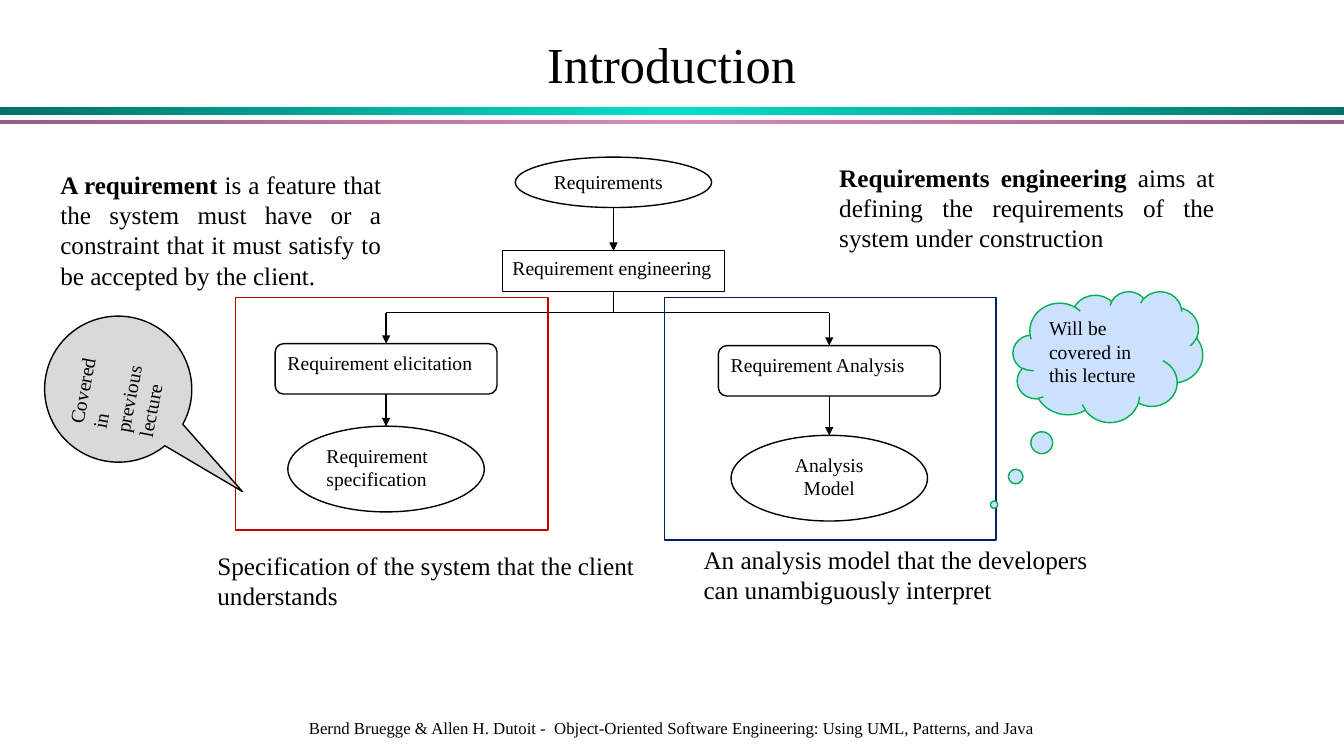
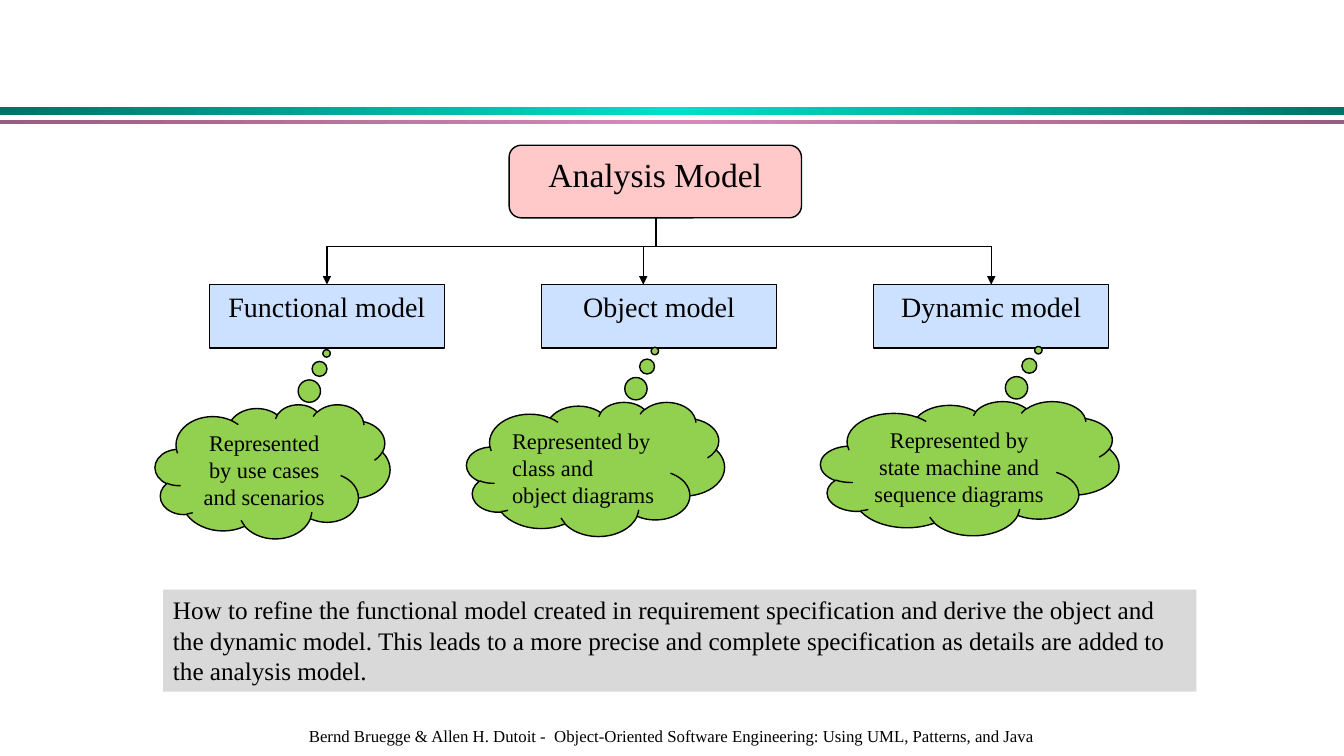
from copy import deepcopy

from lxml import etree
from pptx import Presentation
from pptx.dml.color import RGBColor
from pptx.enum.shapes import MSO_CONNECTOR, MSO_SHAPE
from pptx.enum.text import MSO_ANCHOR, PP_ALIGN
from pptx.oxml.ns import qn
from pptx.util import Cm, Pt

RECT, ROUNDED = MSO_SHAPE.RECTANGLE, MSO_SHAPE.ROUNDED_RECTANGLE
OVAL, CLOUD = MSO_SHAPE.OVAL, MSO_SHAPE.CLOUD_CALLOUT
BALLOON = MSO_SHAPE.OVAL_CALLOUT
LEFT, CENTER, JUSTIFY = PP_ALIGN.LEFT, PP_ALIGN.CENTER, PP_ALIGN.JUSTIFY
TOP, MIDDLE = MSO_ANCHOR.TOP, MSO_ANCHOR.MIDDLE

FONT = "Times New Roman"
BLACK, GREY, BLUE, PINK = "000000", "D9D9D9", "CCE0FF", "FFC9C9"
GREEN, LIME, RED, NAVY = "00B050", "92D050", "C00000", "002060"
color = RGBColor.from_string
FOOTER = ("Bernd Bruegge & Allen H. Dutoit -  Object-Oriented Software "
          "Engineering: Using UML, Patterns, and Java")


def add_box(slide, kind, place, text="", size=14, align=LEFT, fill=None,
            line=BLACK, lead="", tail=None, anchor=TOP, wrap=True):
    """Add a shape, or a text box when kind is None; place is in cm."""
    place = [Cm(length) for length in place]
    if kind is None:
        box = slide.shapes.add_textbox(*place)
    else:
        box = slide.shapes.add_shape(kind, *place)
        box.shadow.inherit = False
        if fill:
            box.fill.solid()
            box.fill.fore_color.rgb = color(fill)
        else:
            box.fill.background()
        if line:
            box.line.color.rgb = color(line)
            box.line.width = Pt(1)
        else:
            box.line.fill.background()
        for index, value in enumerate(tail or ()):
            box.adjustments[index] = value
    frame = box.text_frame
    frame.word_wrap = wrap
    frame.vertical_anchor = anchor
    if text:
        frame.text = text
    for paragraph in frame.paragraphs:
        paragraph.alignment = align
        paragraph.font.name = FONT
        paragraph.font.size = Pt(size)
        paragraph.font.color.rgb = color(BLACK)
    if lead:
        opening = frame.paragraphs[0].runs[0]
        rest = opening.text
        opening.text = lead
        opening.font.bold = True
        frame.paragraphs[0].add_run().text = rest
    return box


def add_line(slide, x1, y1, x2, y2, arrow=False):
    """Draw a straight black line, in cm, with an optional arrowhead."""
    link = slide.shapes.add_connector(
        MSO_CONNECTOR.STRAIGHT, Cm(x1), Cm(y1), Cm(x2), Cm(y2))
    link.line.color.rgb = color(BLACK)
    link.line.width = Pt(1)
    properties = link.element.spPr
    if arrow:
        outline = properties.find(qn("a:ln"))
        etree.SubElement(outline, qn("a:tailEnd"), type="triangle")
    etree.SubElement(properties, qn("a:effectLst"))


deck = Presentation()
deck.slide_width, deck.slide_height = Cm(33.87), Cm(19.05)
intro = deck.slides.add_slide(deck.slide_layouts[5])
models = deck.slides.add_slide(deck.slide_layouts[6])

# Gradient bands, moved to the master so that every slide shows them
for top, height, edge, middle in ((2.69, 0.2, "007267", "00DFCA"),
                                  (3.02, 0.1, "965E7F", "D989B8")):
    band = add_box(intro, RECT, (0, top, 33.87, height), line=None)
    band.fill.gradient()
    band.fill.gradient_angle = 0
    stop_list = band.element.spPr.find(".//" + qn("a:gsLst"))
    stop_list.append(deepcopy(stop_list[-1]))
    for stop, position, shade in zip(band.fill.gradient_stops, (0, 0.5, 1),
                                     (edge, middle, edge)):
        stop.position = position
        stop.color.rgb = color(shade)
    deck.slide_master.shapes.element.append(band.element)

# Footers
for slide, top, height in ((intro, 17.7, 1.27), (models, 18.11, 0.86)):
    add_box(slide, None, (3, top, 27.86, height), FOOTER, 12, CENTER,
            anchor=MIDDLE, wrap=False)

# Introduction: title
title = intro.shapes.title
title.left, title.top, title.width, title.height = (
    Cm(0.56), Cm(0.84), Cm(32.74), Cm(1.7))
title.text_frame.text = "Introduction"
title.text_frame.vertical_anchor = MIDDLE
heading = title.text_frame.paragraphs[0]
heading.alignment = CENTER
heading.line_spacing = 0.9
heading.font.name = FONT
heading.font.size = Pt(36)
heading.font.color.rgb = color(BLACK)

# Introduction: process steps, centred on three vertical axes
TRUNK, ELICITATION, ANALYSIS = 15.46, 9.73, 20.9
for kind, axis, top, width, height, text, align in (
        (OVAL, TRUNK, 3.96, 4.95, 1.27, "Requirements", LEFT),
        (RECT, TRUNK, 6.32, 5.59, 1.02, "Requirement engineering", LEFT),
        (ROUNDED, ELICITATION, 8.66, 5.59, 1.27, "Requirement elicitation", LEFT),
        (ROUNDED, ANALYSIS, 8.71, 5.59, 1.27, "Requirement Analysis", LEFT),
        (OVAL, ANALYSIS, 10.97, 4.95, 2.16, "Analysis Model", CENTER),
        (OVAL, ELICITATION, 10.74, 4.95, 2.16, "Requirement specification", LEFT)):
    add_box(intro, kind, (axis - width / 2, top, width, height), text,
            align=align)

# Introduction: links between the steps
FORK = 7.88
add_line(intro, TRUNK, 7.34, TRUNK, FORK)
add_line(intro, ELICITATION, FORK, ANALYSIS, FORK)
for axis, start, end in ((TRUNK, 5.23, 6.32),
                         (ELICITATION, FORK, 8.66), (ELICITATION, 9.93, 10.74),
                         (ANALYSIS, FORK, 8.71), (ANALYSIS, 9.98, 10.97)):
    add_line(intro, axis, start, axis, end, arrow=True)

# Introduction: definitions and results
for place, lead, text, align in (
        ((5.23, 13.74, 11.15, 1.8), "",
         "Specification of the system that the client\nunderstands", LEFT),
        ((17.48, 13.59, 11.15, 1.8), "",
         "An analysis model that the developers can unambiguously interpret",
         LEFT),
        ((20.9, 3.96, 9.96, 2.57), "Requirements engineering ",
         "aims at defining the requirements of the system under construction",
         JUSTIFY),
        ((1.27, 4.14, 8.59, 3.33), "A requirement ",
         "is a feature that the system must have or a constraint that it must "
         "satisfy to be accepted by the client.", JUSTIFY)):
    add_box(intro, None, place, text, 18, align, lead=lead)

# Introduction: frames around the two branches and their callouts
add_box(intro, RECT, (5.94, 7.49, 7.87, 5.87), line=RED)
add_box(intro, RECT, (16.75, 7.49, 8.35, 6.12), line=NAVY)
previous = add_box(intro, BALLOON, (1.14, 7.95, 3.68, 3.71),
                   "Covered in previous lecture", fill=GREY,
                   tail=(-0.53, 0.96))
previous.rotation = 280.8
add_box(intro, CLOUD, (25.53, 7.34, 4.78, 3.3),
        "Will be covered in this lecture", fill=BLUE, line=GREEN,
        tail=(-0.6, 1.13))

# Analysis model: root and its three parts
add_box(models, ROUNDED, (12.83, 3.66, 7.37, 1.83), "Analysis Model", 24,
        CENTER, PINK)
PART_TOP, PART_WIDTH, PART_PITCH = 7.17, 5.92, 8.37
for column, part in enumerate(("Functional model", "Object model",
                               "Dynamic model")):
    add_box(models, RECT,
            (5.28 + column * PART_PITCH, PART_TOP, PART_WIDTH, 1.6),
            part, 20, CENTER, BLUE)

# Analysis model: tree lines
BRANCH = 6.21
PART_AXES = (8.24, 16.21, 24.98)
add_line(models, 16.53, 5.49, 16.53, BRANCH)
add_line(models, PART_AXES[0], BRANCH, PART_AXES[-1], BRANCH)
for axis in PART_AXES:
    add_line(models, axis, BRANCH, axis, PART_TOP, arrow=True)

# Analysis model: how each part is represented
for left, top, width, text, align in (
        (3.91, 10.19, 5.92, "Represented by use cases and scenarios", CENTER),
        (11.76, 10.13, 6.5, "Represented by class and\nobject diagrams", LEFT),
        (20.68, 10.11, 7.52,
         "Represented by state machine and sequence diagrams", CENTER)):
    add_box(models, CLOUD, (left, top, width, 3.38), text, 16, align, LIME,
            tail=(0.23, -0.88))

# Analysis model: lecture question
add_box(models, RECT, (4.11, 14.86, 26.04, 2.57),
        "How to refine the functional model created in requirement "
        "specification and derive the object and the dynamic model. This "
        "leads to a more precise and complete specification as details are "
        "added to the analysis model.", 18, fill=GREY, line=None)

deck.save("out.pptx")
